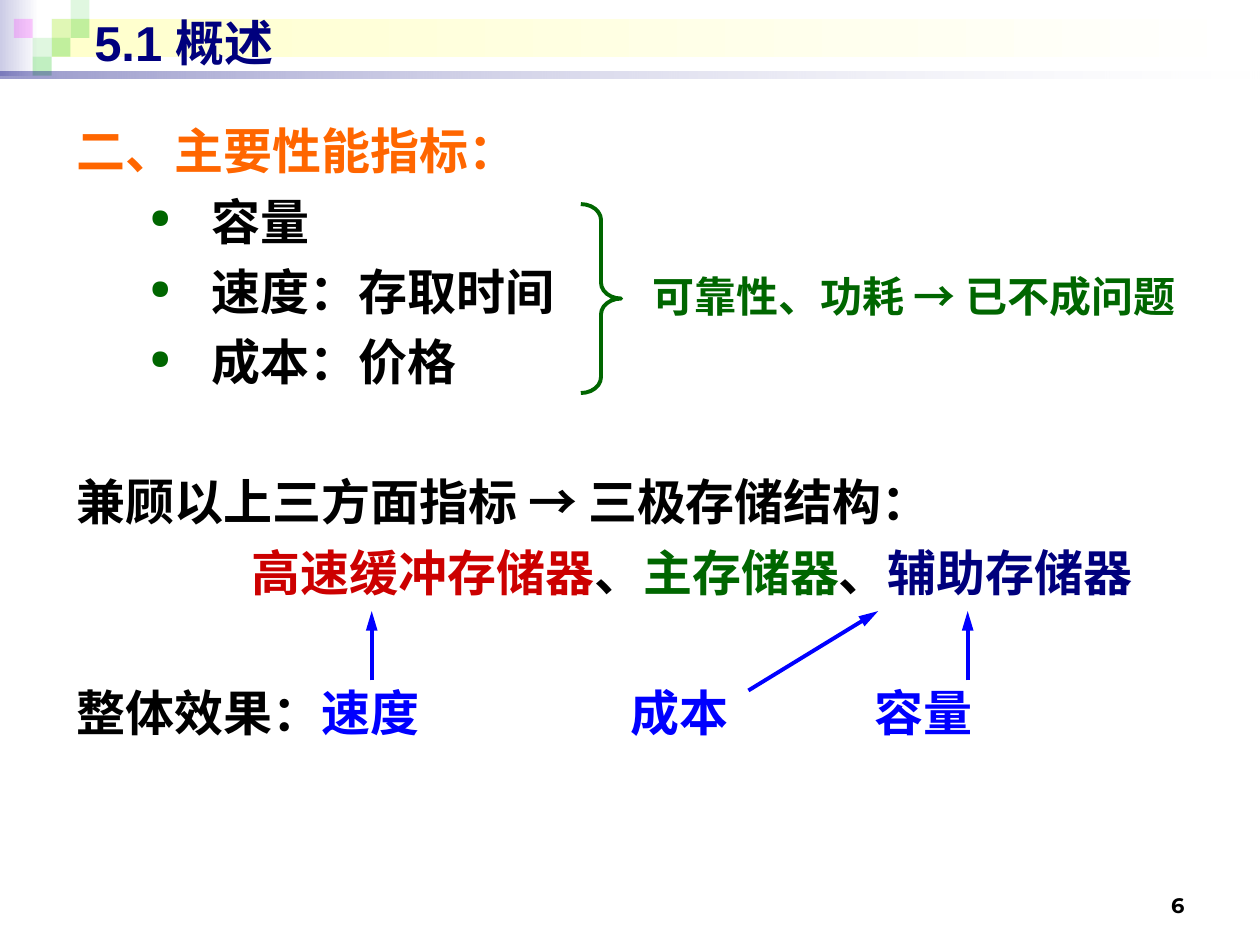
from lxml.etree import SubElement
from pptx import Presentation
from pptx.dml.color import RGBColor
from pptx.enum.shapes import MSO_CONNECTOR as CONNECTOR, MSO_SHAPE as SHAPE
from pptx.enum.text import MSO_ANCHOR as ANCHOR, PP_ALIGN as ALIGN
from pptx.oxml.ns import qn
from pptx.util import Inches, Pt

COLORS = {
    "black": "000000", "white": "FFFFFF", "orange": "FF6600", "red": "CC0000",
    "green": "006600", "navy": "00007D", "blue": "0000FF", "lavender": "CCCCE6",
    "cream": "FFFFCC", "lime": "33CC33", "magenta": "FF00FF",
}
CJK_FONT = "Noto Sans CJK SC"
SERIF = "Times New Roman"


def rgb(name):
    return RGBColor.from_string(COLORS[name])


def add_spans(para, spans, size, font=SERIF):
    """Add bold (text, colour) runs; an arrow takes the CJK font."""
    for text, color in spans:
        span = para.add_run()
        span.text = text
        formats = {"size": Pt(size), "bold": True,
                   "name": CJK_FONT if text == "→" else font}
        for name, value in formats.items():
            setattr(span.font, name, value)
        span.font.color.rgb = rgb(color)
        SubElement(span.font._element, qn("a:ea")).set("typeface", CJK_FONT)


deck = Presentation()
deck.slide_width, deck.slide_height = Inches(10), Inches(7.5)
page = deck.slides.add_slide(deck.slide_layouts[6])

# Header decoration: left, top, width, height, colours, opacity of each colour
TILE = 0.15
tiles = [(0.41, 0.15, "lime", 15), (0.56, 0, "lime", 15), (0.56, 0.15, "lime", 30),
         (0.26, 0.3, "lime", 15), (0.11, 0.15, "magenta", 20),
         (0.41, 0.3, "lime", 30), (0.26, 0.45, "lime", 30)]
decorations = [
    (0, 0, 0.31, 0.6, ["lavender", "white"], [100, 100]),
    (0.41, 0.15, 9.55, 0.3, ["cream", "white"], [100, 100]),
    *[(left, top, TILE, TILE, [color], [alpha]) for left, top, color, alpha in tiles],
    (0, 0.57, 10, 0.05, ["navy", "white"], [40, 10]),
]
for *place, colors, alphas in decorations:
    block = page.shapes.add_shape(SHAPE.RECTANGLE, *map(Inches, place))
    block.shadow.inherit = False
    block.line.fill.background()
    if len(colors) == 1:
        block.fill.solid()
        block.fill.fore_color.rgb = rgb(colors[0])
    else:
        block.fill.gradient()
        block.fill.gradient_angle = 0
        for position, (stop, color) in enumerate(zip(block.fill.gradient_stops, colors)):
            stop.position = position
            stop.color.rgb = rgb(color)
    for color_node, alpha in zip(block.element.spPr.iter(qn("a:srgbClr")), alphas):
        if alpha < 100:
            SubElement(color_node, qn("a:alpha")).set("val", str(alpha * 1000))

# Body: spans, left margin, hanging indent, space before in lines
LINE = 40.1
BODY_TOP = 0.82
body_lines = [
    ([("二、主要性能指标：", "orange")], 0, 0, 0),
    *[([(text, "black")], 1.07, 0.49, 0) for text in ("容量", "速度：存取时间", "成本：价格")],
    ([("兼顾以上三方面指标 ", "black"), ("→", "black"), (" 三极存储结构：", "black")], 0, 0, 1),
    ([("高速缓冲存储器", "red"), ("、", "black"), ("主存储器", "green"),
      ("、", "black"), ("辅助存储器", "navy")], 1.39, 0, 0),
    ([("整体效果：", "black"), ("速度", "blue")], 0, 0, 1),
]
box = page.shapes.add_textbox(Inches(0.51), Inches(BODY_TOP), Inches(9.22), Inches(6.22))
frame = box.text_frame
frame.word_wrap = True
for index, (spans, margin, hanging, gap) in enumerate(body_lines):
    para = frame.paragraphs[0] if index == 0 else frame.add_paragraph()
    para.line_spacing = Pt(LINE)
    para.space_before = Pt(gap * LINE)
    props = para._p.get_or_add_pPr()
    props.set("marL", str(Inches(margin)))
    props.set("indent", str(Inches(-hanging)))
    if hanging:
        bullet_color = SubElement(props, qn("a:buClr"))
        SubElement(bullet_color, qn("a:srgbClr")).set("val", COLORS["green"])
        SubElement(props, qn("a:buSzPct")).set("val", "55000")
        SubElement(props, qn("a:buChar")).set("char", "●")
    add_spans(para, spans, 28)

# Single-line texts: place, anchor, alignment, line spacing, spans, size, font
effect_top = BODY_TOP + 8 * LINE / 72  # level with the last body line
labels = [
    *[((left, effect_top, 1.2, 0.66), ANCHOR.TOP, ALIGN.LEFT, Pt(LINE),
       [(text, "blue")], 28, SERIF) for left, text in ((4.91, "成本"), (6.84, "容量"))],
    ((7.17, 6.98, 2.33, 0.35), ANCHOR.BOTTOM, ALIGN.RIGHT, None,
     [("6", "black")], 12, "Montserrat"),
    ((5.08, 2.1, 4.57, 0.5), ANCHOR.TOP, ALIGN.LEFT, Pt(28.8),
     [("可靠性、功耗 ", "green"), ("→", "green"), (" 已不成问题", "green")], 24, SERIF),
    ((0.65, 0.05, 9, 0.57), ANCHOR.MIDDLE, ALIGN.LEFT, None,
     [("5.1 概述", "navy")], 28, "Arial"),
]
for place, anchor, alignment, spacing, spans, size, font in labels:
    box = page.shapes.add_textbox(*map(Inches, place))
    box.text_frame.word_wrap = True
    box.text_frame.vertical_anchor = anchor
    para = box.text_frame.paragraphs[0]
    para.alignment = alignment
    para.line_spacing = spacing
    add_spans(para, spans, size, font)

brace = page.shapes.add_shape(
    SHAPE.RIGHT_BRACE, Inches(4.61), Inches(1.62), Inches(0.32), Inches(1.5))
brace.shadow.inherit = False
brace.fill.background()
brace.adjustments[0], brace.adjustments[1] = 0.395, 0.5
brace.line.color.rgb = rgb("green")
brace.line.width = Pt(2.25)

# Arrows from each effect up to its memory level
for start_x, start_y, end_x in [(2.95, 5.4, 2.95), (5.94, 5.48, 6.97), (7.68, 5.4, 7.68)]:
    arrow = page.shapes.add_connector(
        CONNECTOR.STRAIGHT, *map(Inches, (start_x, start_y, end_x, 4.85)))
    arrow.line.color.rgb = rgb("blue")
    arrow.line.width = Pt(2.25)
    tail = SubElement(arrow.line._get_or_add_ln(), qn("a:tailEnd"))
    for name, value in {"type": "triangle", "w": "med", "len": "lg"}.items():
        tail.set(name, value)
    SubElement(arrow._element.spPr, qn("a:effectLst"))

deck.save("out.pptx")
